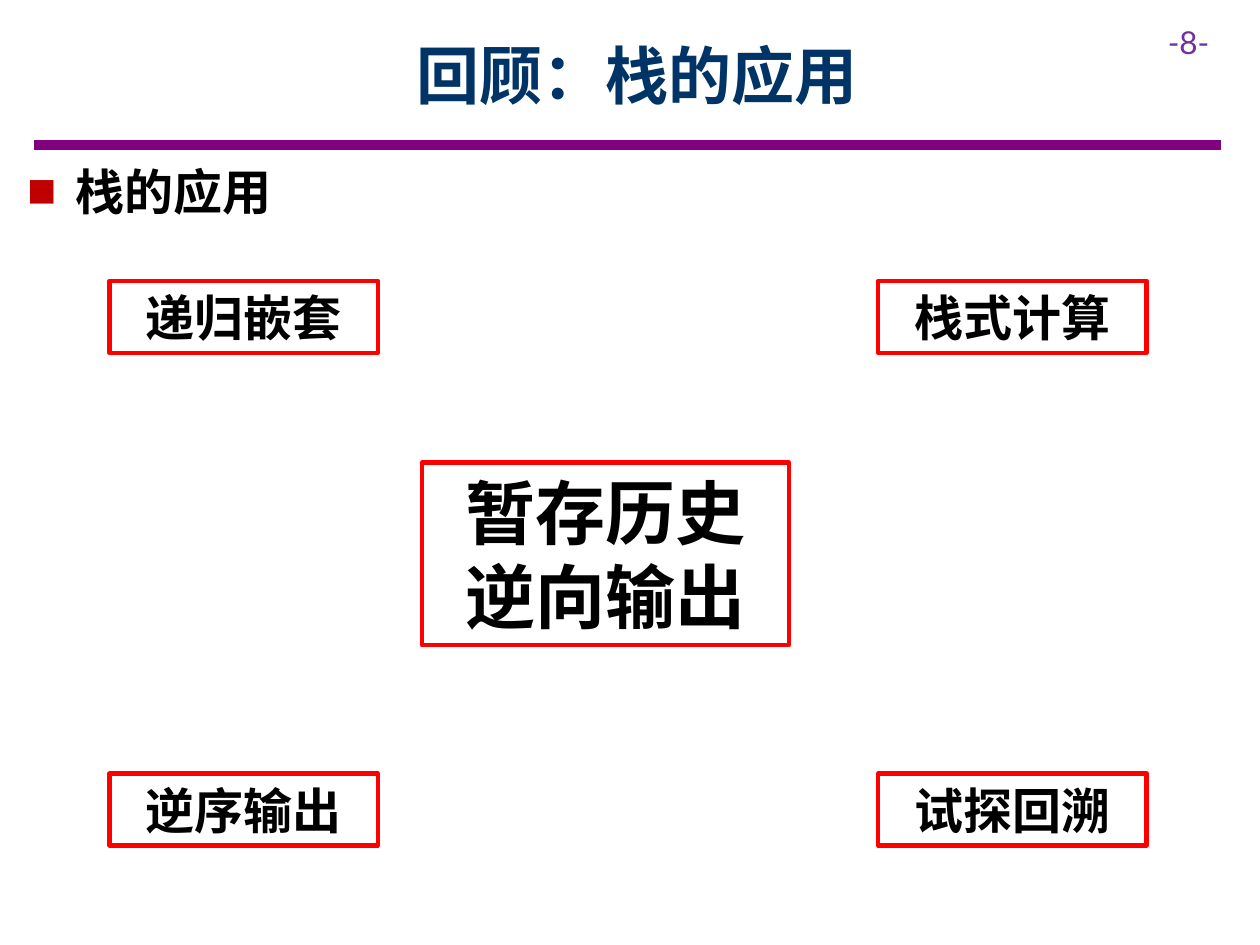
from lxml import etree
from pptx import Presentation, util as u
from pptx.dml.color import RGBColor
from pptx.enum import shapes, text
from pptx.oxml.ns import qn

COLORS = {
    "rule": "800080",
    "number": "7030A0",
    "title": "003366",
    "bullet": "C00000",
    "body": "000000",
    "frame": "FF0000",
}
LATIN, CHINESE = "Lato", "Noto Sans CJK SC"
LINE_HEIGHT = 1.2


def color(name):
    return RGBColor.from_string(COLORS[name])


class SlideBuilder:
    def __init__(self, slide):
        self.slide = slide

    def set_words(self, shape, words, size, tint="body", font=CHINESE, bold=True,
                  align=text.PP_ALIGN.CENTER):
        frame = shape.text_frame
        frame.word_wrap = True
        frame.vertical_anchor = text.MSO_ANCHOR.MIDDLE
        paragraph = frame.paragraphs[0]
        paragraph.text = words
        paragraph.alignment = align
        paragraph.line_spacing = u.Pt(size * LINE_HEIGHT)
        paragraph.font.name = font
        paragraph.font.size = u.Pt(size)
        paragraph.font.bold = bold
        paragraph.font.color.rgb = color(tint)
        properties = paragraph._p.pPr.find(qn("a:defRPr"))
        latin = properties.find(qn("a:latin"))
        latin.addnext(etree.Element(qn("a:ea"), typeface=font))
        return paragraph

    def label(self, left, top, width, height, words, size, **style):
        box = self.slide.shapes.add_textbox(*map(u.Inches, (left, top, width, height)))
        return self.set_words(box, words, size, **style)

    def bullet(self, left, top, width, height, words, size):
        paragraph = self.label(left, top, width, height, words, size,
                               align=text.PP_ALIGN.LEFT)
        paragraph.space_after = u.Pt(6)
        properties = paragraph._p.pPr
        properties.set("marL", str(u.Inches(0.38)))
        properties.set("indent", str(-u.Inches(0.38)))
        marker_color = etree.Element(qn("a:buClr"))
        etree.SubElement(marker_color, qn("a:srgbClr"), val=COLORS["bullet"])
        run_defaults = properties.find(qn("a:defRPr"))
        for element in (
            marker_color,
            etree.Element(qn("a:buSzPct"), val="60000"),
            etree.Element(qn("a:buFont"), typeface=CHINESE),
            etree.Element(qn("a:buChar"), char="■"),
        ):
            run_defaults.addprevious(element)

    def framed(self, left, top, width, height, words, size):
        box = self.slide.shapes.add_shape(
            shapes.MSO_SHAPE.RECTANGLE, *map(u.Inches, (left, top, width, height)))
        box.shadow.inherit = False
        box.fill.background()
        box.line.color.rgb = color("frame")
        box.line.width = u.Pt(2.5)
        self.set_words(box, words, size)

    def rule(self, left, right, top):
        line = self.slide.shapes.add_connector(
            shapes.MSO_CONNECTOR.STRAIGHT, *map(u.Inches, (left, top, right, top)))
        line.line.color.rgb = color("rule")
        line.line.width = u.Pt(6)
        etree.SubElement(line._element.spPr, qn("a:effectLst"))


def main():
    presentation = Presentation()
    presentation.slide_width = u.Inches(10)
    presentation.slide_height = u.Inches(7.5)
    builder = SlideBuilder(presentation.slides.add_slide(presentation.slide_layouts[6]))

    builder.rule(0.27, 9.69, 1.15)
    builder.label(9.17, 0.13, 0.83, 0.4, "-8-", 18, tint="number", font=LATIN,
                  bold=False, align=text.PP_ALIGN.LEFT)
    builder.label(0.9, 0.09, 8.31, 1, "回顾：栈的应用", 36, tint="title")
    builder.bullet(0.12, 1.23, 8.98, 0.57, "栈的应用", 28)

    builder.framed(3.35, 3.67, 2.91, 1.45, "暂存历史逆向输出", 40)
    applications = {
        0.87: ("逆序输出", "递归嵌套"),
        6.97: ("试探回溯", "栈式计算"),
    }
    for left, column in applications.items():
        for top, words in zip((6.14, 2.23), column):
            builder.framed(left, top, 2.13, 0.57, words, 28)

    presentation.save("out.pptx")


if __name__ == "__main__":
    main()
